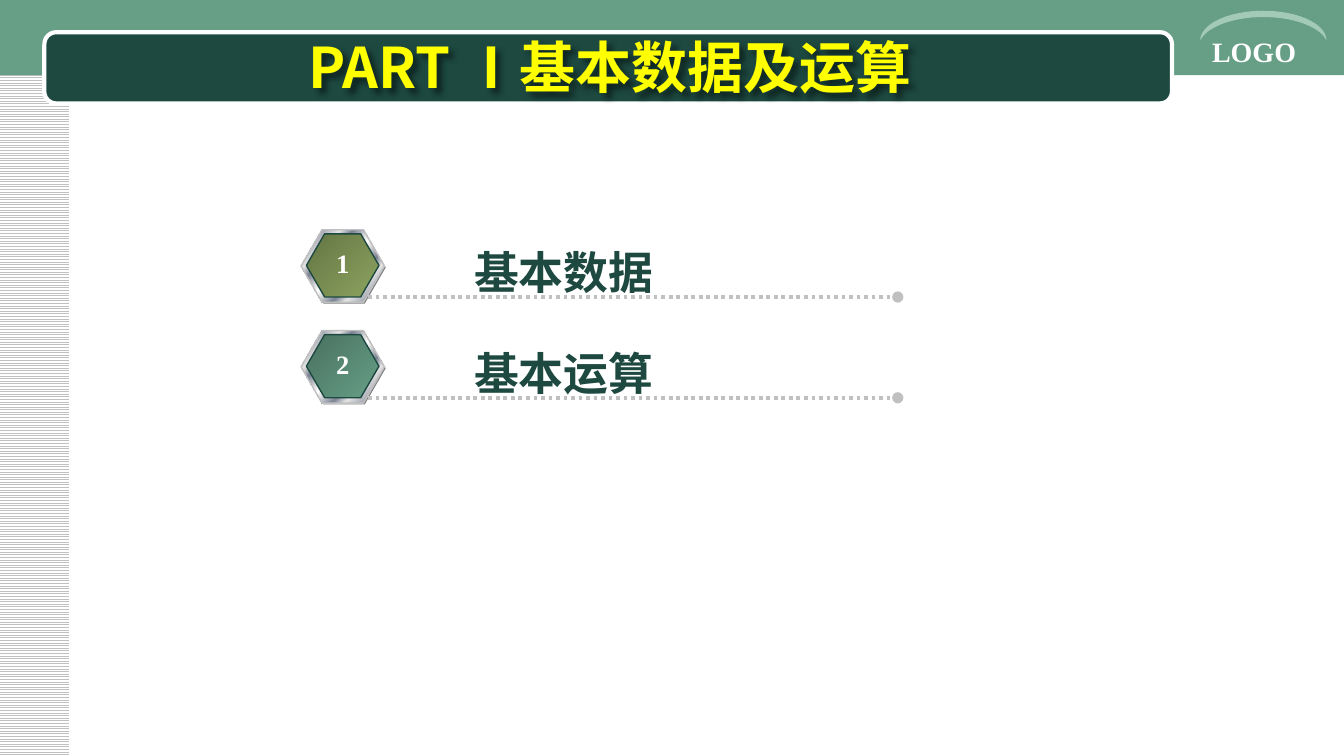
from dataclasses import dataclass

from lxml.etree import SubElement
from pptx import Presentation
from pptx.dml.color import RGBColor as Rgb
from pptx.enum.dml import MSO_LINE as Dash, MSO_PATTERN as Pattern
from pptx.enum.shapes import MSO_CONNECTOR as Link, MSO_SHAPE as Shape
from pptx.enum.text import MSO_ANCHOR as Anchor, PP_ALIGN as Align
from pptx.oxml import parse_xml
from pptx.oxml.ns import qn
from pptx.util import Inches, Pt

NS = 'xmlns:a="http://schemas.openxmlformats.org/drawingml/2006/main"'
WIDE, HIGH = 100, 56.25  # columns and rows of the grid


@dataclass(frozen=True)
class Theme:
    white: str = "FFFFFF"
    dark: str = "1D4940"
    green: str = "669E86"
    pale: str = "A2CAB4"
    grey: str = "C0C0C0"
    shade: str = "808080"
    yellow: str = "FFFF00"
    moss: tuple = ((0, "647544"), (100, "8CA35F"))
    sage: tuple = ((0, "497160"), (100, "669E86"))
    steel: tuple = (
        (0, "E6E6E6"), (7, "7D8496"), (26, "E6E6E6"), (34, "7D8496"),
        (46, "E6E6E6"), (50, "FFFFFF"), (54, "E6E6E6"), (66, "7D8496"),
        (74, "E6E6E6"), (93, "7D8496"), (100, "E6E6E6"))
    sans: str = "Noto Sans CJK SC"
    serif: str = "Times New Roman"
    title: float = 30
    item: float = 24
    logo: float = 15
    num: float = 14.2


def grid(*cells):
    return [Inches(cell / 10) for cell in cells]


def put(target, **values):
    for name, value in values.items():
        setattr(target, name, value)


class Deck:
    def __init__(self, theme):
        self.theme = theme
        self.file = Presentation()
        wide, high = grid(WIDE, HIGH)
        put(self.file, slide_width=wide, slide_height=high)
        self.slide = self.file.slides.add_slide(self.file.slide_layouts[6])
        self.host = self.slide.shapes

    def group(self):
        """Send the next elements into a new group."""
        self.host = self.slide.shapes.add_group_shape().shapes

    def paint(self, fill, paint):
        """Fill with one colour, or with (percent, colour) stops at 45 degrees."""
        if isinstance(paint, str):
            fill.solid()
            fill.fore_color.rgb = Rgb.from_string(paint)
            return
        fill.gradient()
        fill.gradient_angle = 315
        stops = fill.gradient_stops[0]._gs.getparent()
        marks = "".join(f'<a:gs pos="{pos * 1000}"><a:srgbClr val="{tone}"/></a:gs>'
                        for pos, tone in paint)
        stops.getparent().replace(
            stops, parse_xml(f"<a:gsLst {NS}>{marks}</a:gsLst>"))

    def shape(self, kind, box, paint=None, line=None, width=0.75, adj=None, turn=0):
        item = self.host.add_shape(kind, *grid(*box))
        item.shadow.inherit = False
        item.rotation = turn
        if adj is not None:
            item.adjustments[0] = adj
        if paint:
            self.paint(item.fill, paint)
        if line:
            self.paint(item.line.fill, line)
            item.line.width = Pt(width)
        else:
            item.line.fill.background()
        return item

    def stripes(self, box):
        fill = self.shape(Shape.RECTANGLE, box).fill
        fill.patterned()
        fill.pattern = Pattern.LIGHT_HORIZONTAL
        fill.fore_color.rgb = Rgb.from_string(self.theme.grey)
        fill.back_color.rgb = Rgb.from_string(self.theme.white)

    def text(self, words, box, size, face, tone, align=Align.LEFT,
             anchor=Anchor.TOP, wrap=True, shadow=False):
        item = self.host.add_textbox(*grid(*box))
        frame = item.text_frame
        put(frame, word_wrap=wrap, vertical_anchor=anchor)
        par = frame.paragraphs[0]
        par.alignment = align
        run = par.add_run()
        run.text = words
        put(run.font, size=Pt(size), bold=True, name=face)
        run.font.color.rgb = Rgb.from_string(tone)
        SubElement(run.font._element, qn("a:ea"), typeface=face)
        if shadow:
            item._element.spPr.append(parse_xml(
                f'<a:effectLst {NS}><a:outerShdw blurRad="38100" dist="38100" '
                'dir="2700000"><a:srgbClr val="000000"><a:alpha val="50000"/>'
                '</a:srgbClr></a:outerShdw></a:effectLst>'))

    def rule(self, left, right, row):
        """Draw a dotted line that ends in a dot."""
        item = self.host.add_connector(Link.STRAIGHT, *grid(left, row, right, row))
        self.paint(item.line.fill, self.theme.grey)
        put(item.line, width=Pt(2), dash_style=Dash.ROUND_DOT)
        SubElement(item.line._get_or_add_ln(), qn("a:tailEnd"), type="oval")
        SubElement(item._element.spPr, qn("a:effectLst"))

    def entry(self, num, words, tint, top):
        look = self.theme
        self.group()
        for left, drop, wide, high, paint, line in (
                (22.5, 0.1, 6.2, 5.4, look.shade, None),
                (22.4, 0, 6.2, 5.4, look.steel, look.grey),
                (22.8, 0.3, 5.4, 4.7, tint, look.dark)):
            self.shape(Shape.HEXAGON, (left, top + drop, wide, high),
                       paint, line, adj=0.289)
        self.rule(27.4, 66.8, top + 5)
        self.text(words, (34.3, top + 0.6, 15.5, 5.1), look.item, look.sans,
                  look.dark, wrap=False)
        self.text(str(num), (24, top + 0.8, 3, 3.4), look.num, look.serif,
                  look.white, Align.CENTER, wrap=False)


def main():
    look = Theme()
    deck = Deck(look)
    deck.stripes((-0.1, 0, 5.25, HIGH))
    deck.shape(Shape.RECTANGLE, (0, 0, WIDE + 0.1, 5.6), look.green)
    deck.shape(Shape.ROUNDED_RECTANGLE, (3.3, 2.4, 83.9, 5.3), look.dark,
               look.white, 2.25, adj=0.167)
    deck.text("LOGO", (89.2, 2.1, 10.8, 3.5), look.logo, look.serif, look.white)
    deck.shape(Shape.MOON, (92.9, -2.8, 2.2, 9.4), look.pale, adj=0.212, turn=90)
    deck.text("PART Ⅰ基本数据及运算", (5, 2.6, 80.8, 4.6), look.title, look.sans,
              look.yellow, Align.CENTER, Anchor.MIDDLE, shadow=True)
    items = (("基本数据", look.moss), ("基本运算", look.sage))
    for num, (words, tint) in enumerate(items, 1):
        deck.entry(num, words, tint, 17.1 + 7.5 * (num - 1))
    deck.file.save("out.pptx")


if __name__ == "__main__":
    main()
